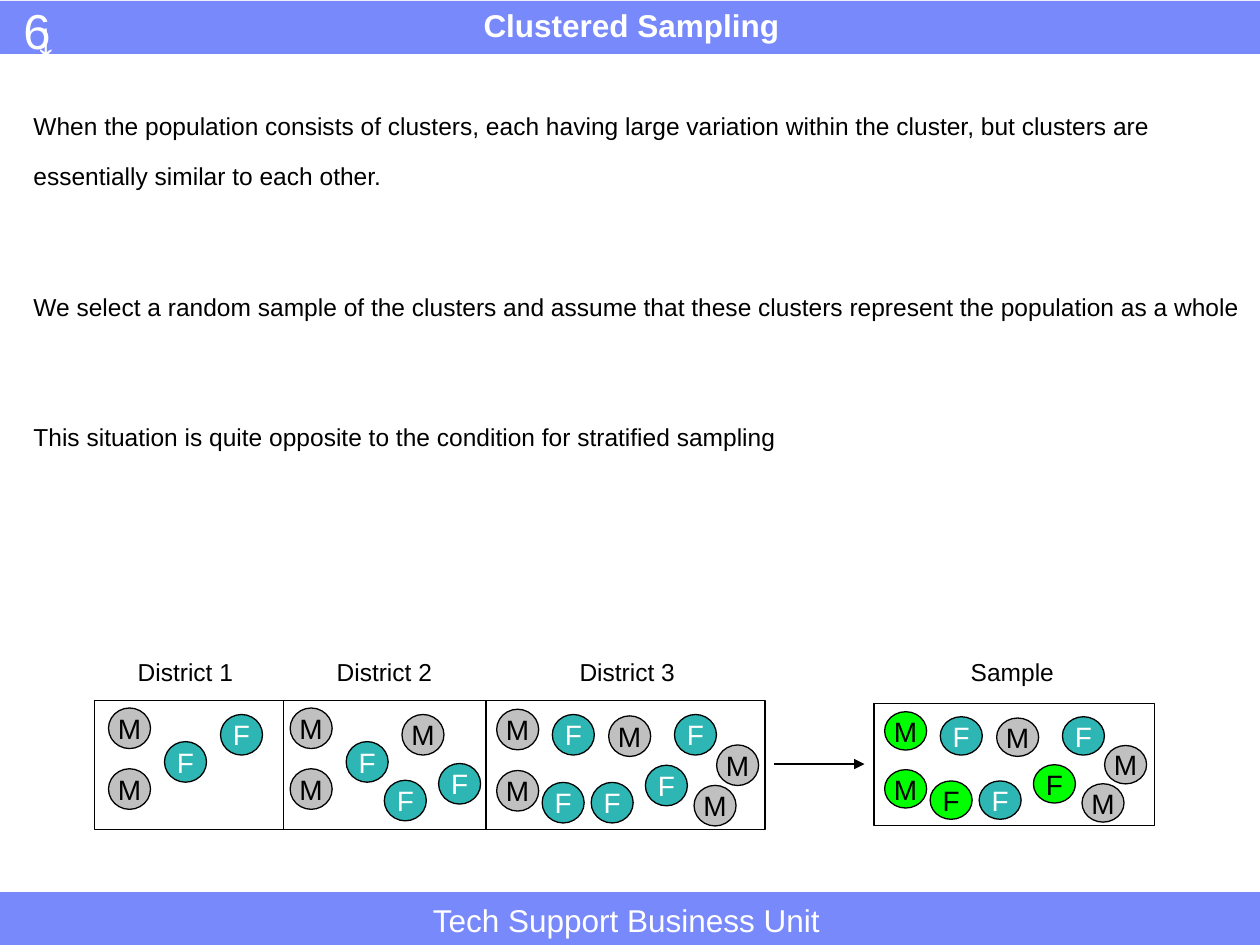
import pptx
import pptx.util
import pptx.dml.color
import pptx.oxml
import pptx.oxml.ns
import pptx.enum.shapes
import pptx.enum.text

Pt = pptx.util.Pt
SHAPE = pptx.enum.shapes.MSO_SHAPE
ALIGN = pptx.enum.text.PP_ALIGN
ANCHOR = pptx.enum.text.MSO_ANCHOR

BLUE, WHITE, BLACK = "7889FB", "FFFFFF", "000000"
GREY, TEAL, GREEN = "C0C0C0", "2DB6B3", "00FF00"


def color(hex_string):
    return pptx.dml.color.RGBColor.from_string(hex_string)


class SlideBuilder:
    font = "Arial"
    line_width = 0.75
    circle_width, circle_height = 24, 23.2

    def __init__(self, slide):
        self.slide = slide

    def add_run(self, paragraph, text, size, ink, bold=False, font=None):
        run = paragraph.add_run()
        run.text = text
        run.font.name = font or self.font
        run.font.size = Pt(size)
        run.font.bold = bold
        run.font.color.rgb = color(ink)

    def shape(self, kind, left, top, width, height, fill=None, line=BLACK, line_width=None):
        shape = self.slide.shapes.add_shape(kind, Pt(left), Pt(top), Pt(width), Pt(height))
        shape.shadow.inherit = False
        if fill:
            shape.fill.solid()
            shape.fill.fore_color.rgb = color(fill)
        else:
            shape.fill.background()
        shape.line.color.rgb = color(line)
        shape.line.width = Pt(line_width or self.line_width)
        return shape

    def bar(self, top):
        self.shape(SHAPE.RECTANGLE, 0, top, 720, 30.2, BLUE, BLUE, 0.25)

    def text_box(self, left, top, width, height, wrap=False):
        box = self.slide.shapes.add_textbox(Pt(left), Pt(top), Pt(width), Pt(height))
        box.text_frame.word_wrap = wrap
        return box.text_frame

    def label(self, text, left, top, width, height, size, ink=WHITE,
              bold=False, font=None, align=ALIGN.LEFT):
        paragraph = self.text_box(left, top, width, height).paragraphs[0]
        paragraph.alignment = align
        self.add_run(paragraph, text, size, ink, bold, font)

    def body(self, texts, left, top, width, height, size, line_spacing, gap):
        frame = self.text_box(left, top, width, height, wrap=True)
        for index, text in enumerate(texts):
            paragraph = frame.add_paragraph() if index else frame.paragraphs[0]
            paragraph.line_spacing = line_spacing
            paragraph.space_before = Pt(gap if index else 0)
            self.add_run(paragraph, text, size, BLACK)

    def line(self, x1, y1, x2, y2, arrow=False):
        connector = self.slide.shapes.add_connector(
            pptx.enum.shapes.MSO_CONNECTOR.STRAIGHT, Pt(x1), Pt(y1), Pt(x2), Pt(y2))
        connector.line.color.rgb = color(BLACK)
        connector.line.width = Pt(self.line_width)
        qn = pptx.oxml.ns.qn
        if arrow:
            tail = connector.line._get_or_add_ln().makeelement(qn("a:tailEnd"), {"type": "triangle"})
            connector.line._get_or_add_ln().append(tail)
        properties = connector._element.spPr
        properties.append(properties.makeelement(qn("a:effectLst"), {}))

    def person(self, letter, left, top, height, chosen=False):
        fill = GREEN if chosen else GREY if letter == "M" else TEAL
        circle = self.shape(SHAPE.OVAL, left, top, self.circle_width, height, fill)
        frame = circle.text_frame
        frame.word_wrap = False
        frame.vertical_anchor = ANCHOR.MIDDLE
        frame.paragraphs[0].alignment = ALIGN.CENTER
        self.add_run(frame.paragraphs[0], letter, 16, WHITE if fill == TEAL else BLACK)

    def people(self, members, left, top, scale=1.0, chosen=()):
        for index, (letter, x, y) in enumerate(members):
            self.person(letter, left + x, top + y * scale,
                        self.circle_height * scale, index in chosen)


# Members of each district, as offsets from its top left corner
DISTRICT_1 = [("M", 8, 4.3), ("M", 8, 39), ("F", 72, 8), ("F", 40, 23.5)]
DISTRICT_2 = [("M", 3.8, 4.3), ("M", 3.8, 39), ("M", 67.7, 8), ("F", 35.8, 23.5),
              ("F", 88.6, 36), ("F", 57.6, 45.6)]
DISTRICT_3 = [("M", 6, 5), ("M", 6, 40), ("M", 70, 8.8), ("F", 37.8, 8),
              ("F", 91, 37), ("F", 60, 46.8), ("F", 107.6, 8), ("M", 131.7, 25.4),
              ("M", 118.8, 48.5), ("F", 32, 46.8)]
SAMPLED = {0, 1, 4, 9}


def main():
    presentation = pptx.Presentation()
    presentation.slide_width, presentation.slide_height = Pt(720), Pt(540)
    builder = SlideBuilder(presentation.slides.add_slide(presentation.slide_layouts[6]))

    # Header and footer
    builder.bar(0.5)
    builder.bar(509.8)
    builder.label("6", 6.3, -3.5, 29.5, 41, 28)
    builder.label("↓", 12.2, 0.5, 31.7, 41, 28, font="Times New Roman")
    builder.label("Tech Support Business Unit", 240.3, 511.2, 237.6, 28.8, 18)
    builder.label("Clustered Sampling", 269.2, 0, 183.6, 28.8, 18, bold=True)

    # Explanation
    builder.body([
        "When the population consists of clusters, each having large variation within "
        "the cluster, but clusters are essentially similar to each other.",
        "We select a random sample of the clusters and assume that these clusters "
        "represent the population as a whole",
        "This situation is quite opposite to the condition for stratified sampling",
    ], 12, 48.2, 708, 214, size=14, line_spacing=1.7, gap=46)

    # Districts
    left, top, right, height = 54, 400.3, 437.2, 73.6
    builder.shape(SHAPE.RECTANGLE, left, top, right - left, height)
    edges = [left, 162, 277.8]
    for divider in edges[1:]:
        builder.line(divider, top, divider, top + height)
    for edge, members in zip(edges, [DISTRICT_1, DISTRICT_2, DISTRICT_3]):
        builder.people(members, edge, top)

    # Sample: the third district, slightly flatter
    sample_left, sample_top, sample_height = 499.5, 402, 69.6
    builder.shape(SHAPE.RECTANGLE, sample_left, sample_top, 160.4, sample_height)
    builder.line(sample_left, sample_top, sample_left, sample_top + sample_height)
    builder.people(DISTRICT_3, sample_left, sample_top, sample_height / height, SAMPLED)
    builder.line(442.3, 436.6, 494, 436.6, arrow=True)

    # Labels
    for text, center in [("District 1", 106), ("District 2", 219.7),
                         ("District 3", 358.5), ("Sample", 578.5)]:
        builder.label(text, center - 34.5, 372.2, 69, 24.5, 14, BLACK, align=ALIGN.CENTER)

    presentation.save("out.pptx")


if __name__ == "__main__":
    main()
